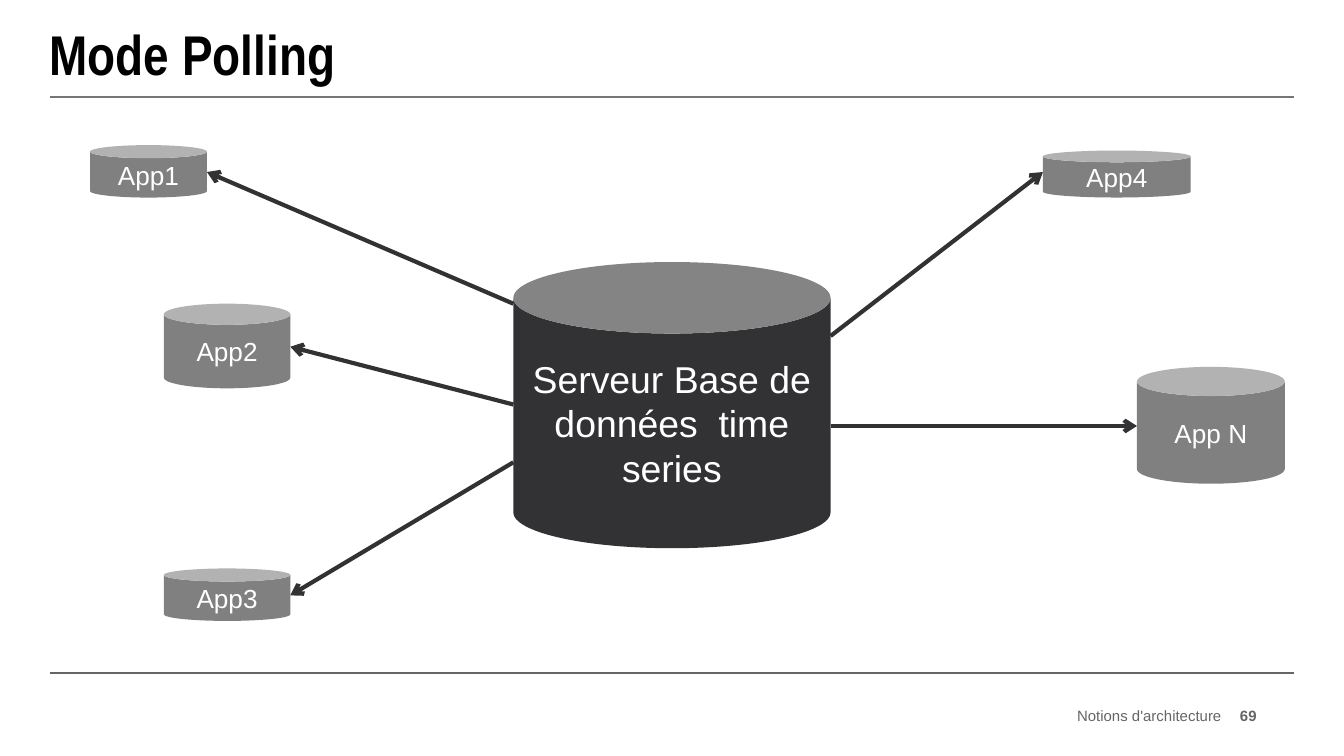
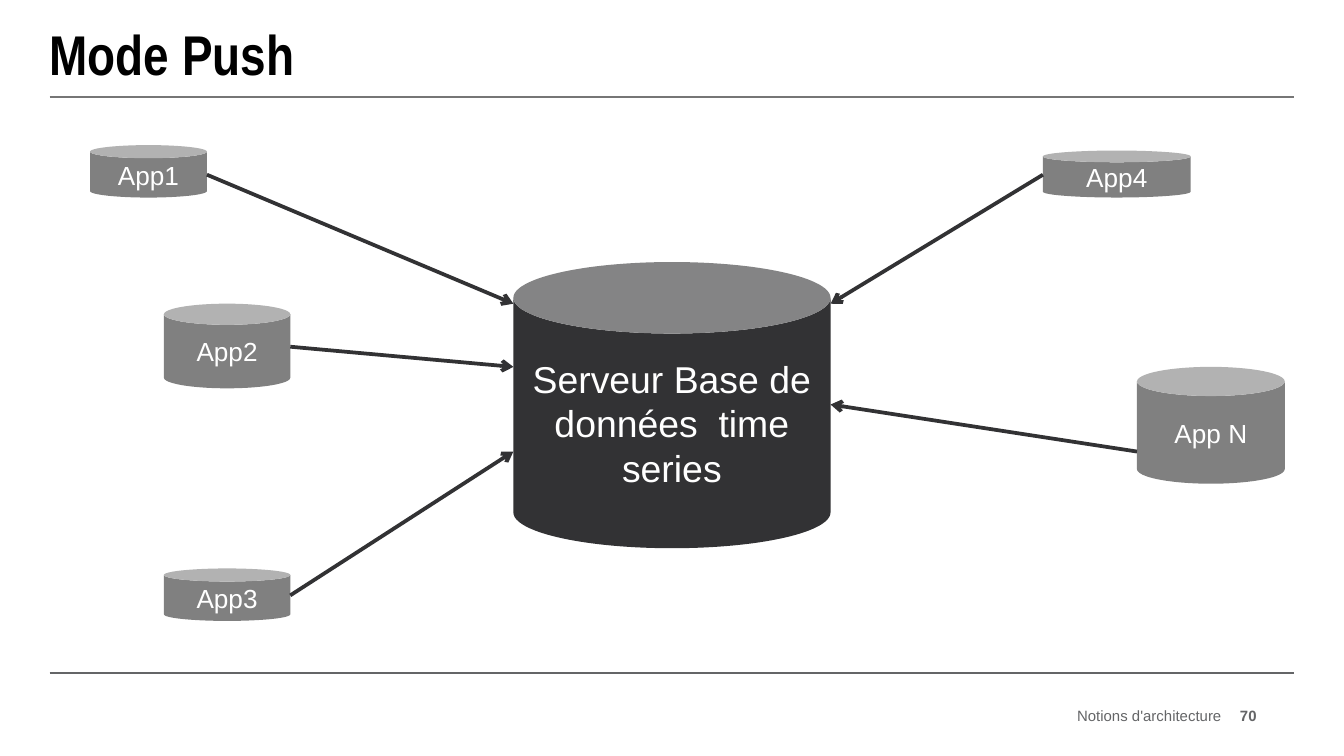
from lxml import etree
from pptx import Presentation
from pptx.dml.color import RGBColor
from pptx.enum.shapes import MSO_CONNECTOR, MSO_SHAPE
from pptx.enum.text import MSO_ANCHOR, PP_ALIGN
from pptx.oxml.ns import qn
from pptx.util import Inches, Pt

STRAIGHT = MSO_CONNECTOR.STRAIGHT
CAN = MSO_SHAPE.CAN
MIDDLE = MSO_ANCHOR.MIDDLE
LEFT, CENTER, RIGHT = PP_ALIGN.LEFT, PP_ALIGN.CENTER, PP_ALIGN.RIGHT

BLACK = RGBColor(0x00, 0x00, 0x00)
WHITE = RGBColor(0xFF, 0xFF, 0xFF)
DARK = RGBColor(0x32, 0x32, 0x34)
APP_GREY = RGBColor(0x80, 0x80, 0x80)
TITLE_RULE = RGBColor(0x76, 0x76, 0x76)
FOOTER_GREY = RGBColor(0x64, 0x65, 0x67)

BODY_FONT = "Arial"
TITLE_FONT = "Arial Narrow"
MARGIN = 0.37
CONTENT_WIDTH = 9.26
DIAGRAM_ORIGIN = (0.67, 1.08)

# Cylinders: left, top, width, height within the diagram
SERVER = (3.15, 0.87, 2.36, 2.13)
APPS = {
    "App1": (0, 0, 0.87, 0.39),
    "App2": (0.55, 1.18, 0.94, 0.63),
    "App4": (7.09, 0.04, 1.1, 0.35),
    "App N": (7.79, 1.65, 1.1, 0.87),
    "App3": (0.55, 3.15, 0.94, 0.39),
}

# Link heights within the diagram: at the server, at the app
POLLING_LINKS = {
    "App4": (1.42, 0.2),
    "App N": (2.09, 2.09),
    "App1": (1.18, 0.2),
    "App2": (1.93, 1.5),
    "App3": (2.36, 3.35),
}
PUSH_LINKS = {
    "App2": (1.65, 1.5),
    "App1": (1.18, 0.22),
    "App3": (2.28, 3.35),
    "App4": (1.18, 0.22),
    "App N": (1.93, 2.28),
}


def write_text(shape, text, size, color, align, font=BODY_FONT, bold=False, inset=0.0):
    frame = shape.text_frame
    frame.word_wrap = True
    frame.vertical_anchor = MIDDLE
    frame.margin_left = frame.margin_right = Inches(inset)
    frame.margin_top = frame.margin_bottom = Inches(inset)
    paragraph = frame.paragraphs[0]
    paragraph.text = text
    paragraph.alignment = align
    paragraph.font.name = font
    paragraph.font.size = Pt(size)
    paragraph.font.bold = bold
    paragraph.font.color.rgb = color


def add_label(slide, box, *text_style, **options):
    label = slide.shapes.add_textbox(*map(Inches, box))
    write_text(label, *text_style, **options)


def add_line(slide, start, end, color, width, arrow=False):
    line = slide.shapes.add_connector(STRAIGHT, *map(Inches, (*start, *end)))
    line.line.color.rgb = color
    line.line.width = Pt(width)
    properties = line._element.spPr
    if arrow:
        etree.SubElement(properties.find(qn("a:ln")), qn("a:tailEnd"), type="arrow")
    etree.SubElement(properties, qn("a:effectLst"))


def add_cylinder(slide, origin, box, text, fill, size):
    left, top, width, height = box
    cylinder = slide.shapes.add_shape(
        CAN, Inches(origin[0] + left), Inches(origin[1] + top),
        Inches(width), Inches(height))
    cylinder.shadow.inherit = False
    cylinder.fill.solid()
    cylinder.fill.fore_color.rgb = fill
    cylinder.line.fill.background()
    write_text(cylinder, text, size, WHITE, CENTER, inset=0.1)


def add_header(slide, title):
    add_line(slide, (MARGIN, 0.72), (MARGIN + CONTENT_WIDTH, 0.72), TITLE_RULE, 1)
    add_label(slide, (MARGIN, 0.09, CONTENT_WIDTH, 0.61), title, 30, BLACK, LEFT,
              font=TITLE_FONT, bold=True)


def add_footer(slide, number):
    add_line(slide, (MARGIN, 5.01), (MARGIN + CONTENT_WIDTH, 5.01), FOOTER_GREY, 1)
    add_label(slide, (6.89, 5.25, 2.2, 0.15), "Notions d'architecture", 8, FOOTER_GREY, RIGHT)
    add_label(slide, (9.15, 5.25, 0.2, 0.15), str(number), 8, FOOTER_GREY, RIGHT, bold=True)


def add_link(slide, origin, app_box, heights, width, to_server):
    """Join the facing sides of the server and an app."""
    server_left, server_width = SERVER[0], SERVER[2]
    app_left, app_width = app_box[0], app_box[2]
    if app_left < server_left:
        server_x, app_x = server_left, app_left + app_width
    else:
        server_x, app_x = server_left + server_width, app_left
    server_y, app_y = heights
    start = (origin[0] + server_x, origin[1] + server_y)
    end = (origin[0] + app_x, origin[1] + app_y)
    if to_server:
        start, end = end, start
    add_line(slide, start, end, DARK, width, arrow=True)


def add_diagram(slide, origin, links, link_width, to_server):
    add_cylinder(slide, origin, SERVER, "Serveur Base de données  time series", DARK, 20)
    for name, box in APPS.items():
        add_cylinder(slide, origin, box, name, APP_GREY, 14)
    for name, heights in links.items():
        add_link(slide, origin, APPS[name], heights, link_width, to_server)


def add_mode_slide(presentation, title, number, links, link_width, to_server):
    slide = presentation.slides.add_slide(presentation.slide_layouts[6])
    add_header(slide, title)
    add_footer(slide, number)
    add_diagram(slide, DIAGRAM_ORIGIN, links, link_width, to_server)


def main():
    presentation = Presentation()
    presentation.slide_width = Inches(10)
    presentation.slide_height = Inches(10 * 9 / 16)
    add_mode_slide(presentation, "Mode Polling", 69, POLLING_LINKS, 2.25, to_server=False)
    add_mode_slide(presentation, "Mode Push", 70, PUSH_LINKS, 2, to_server=True)
    presentation.save("out.pptx")


if __name__ == "__main__":
    main()
